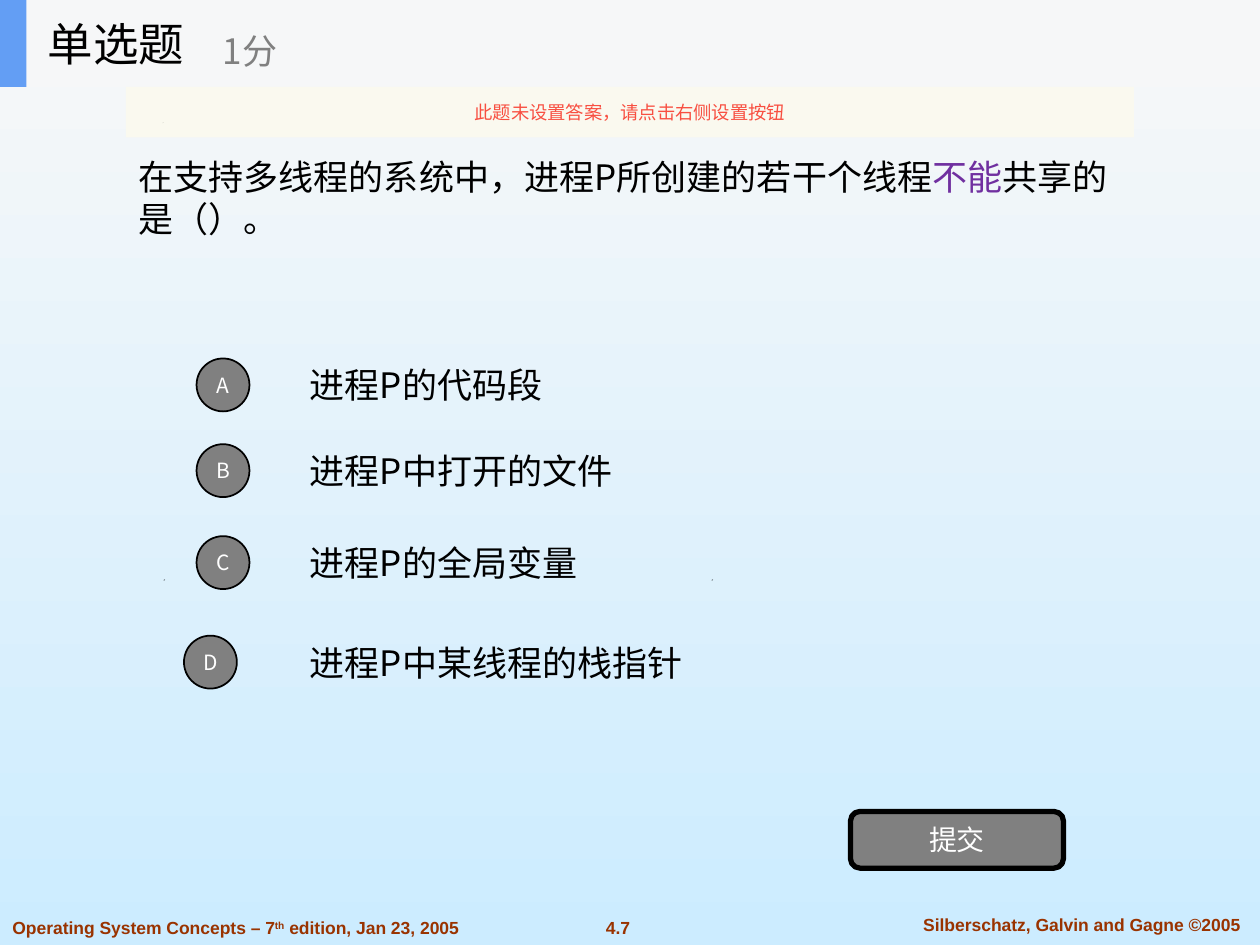
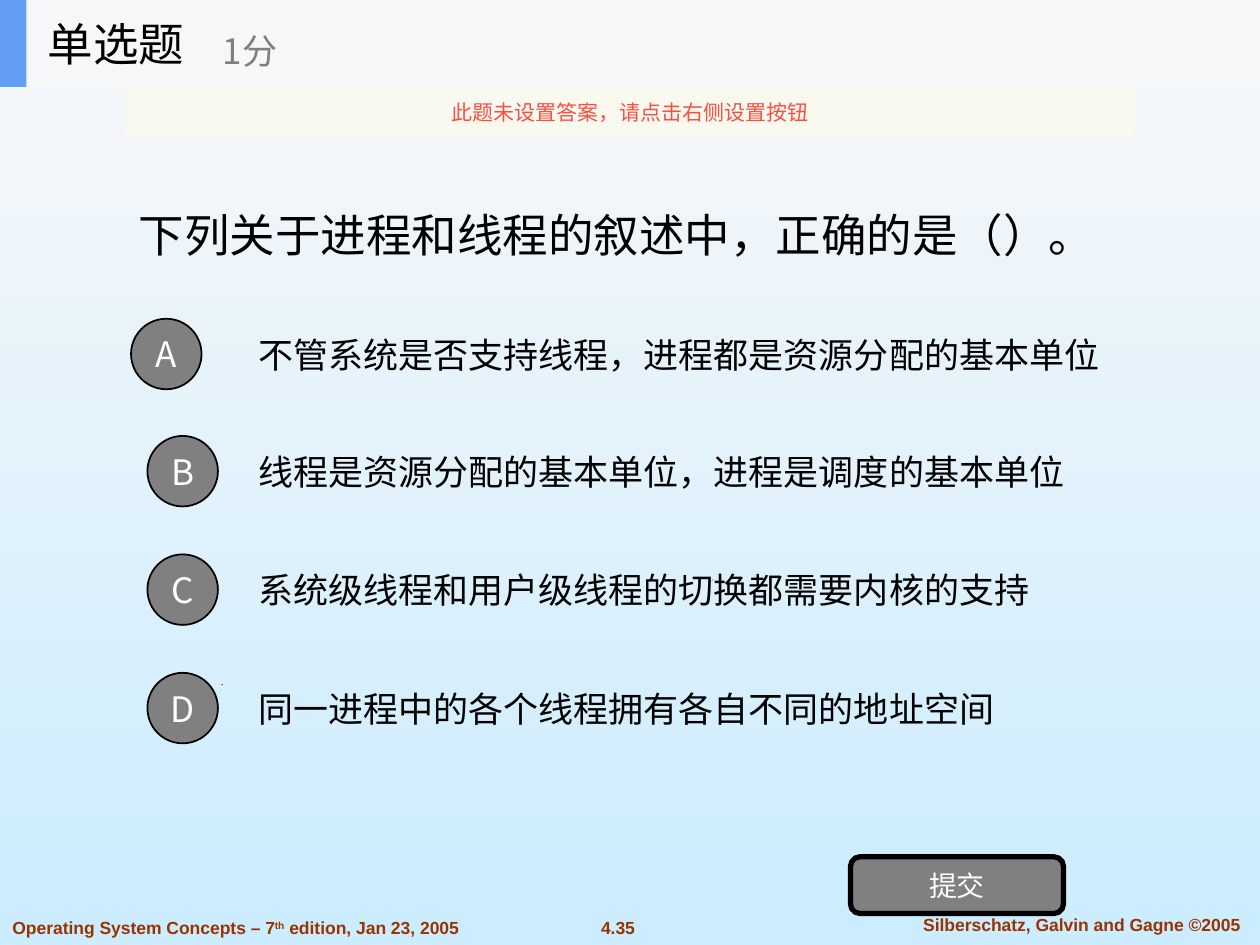
from dataclasses import dataclass

from lxml import etree
from pptx import Presentation
from pptx.dml.color import RGBColor
from pptx.enum import shapes, text
from pptx.oxml.ns import qn
from pptx.util import Inches, Pt

SHAPE = shapes.MSO_SHAPE
LEFT, MID = text.PP_ALIGN.LEFT, text.PP_ALIGN.CENTER


@dataclass(frozen=True)
class Theme:
    # Fonts
    han: str = "Noto Sans CJK SC"
    latin: str = "Arial"
    # Colours
    sky: tuple = ("F8F8F8", "CCECFF")
    ink: str = "000000"
    white: str = "FFFFFF"
    gray: str = "808080"
    band: str = "F6F7F8"
    accent: str = "639EF4"
    cream: str = "FBFAEF"
    alert: str = "F84F41"
    stress: str = "7030A0"
    rust: str = "993300"
    # Type sizes
    head: int = 26
    main: int = 20
    button: int = 16
    foot: int = 10


T = Theme()


@dataclass
class Quiz:
    number: str
    ask: list        # (words, colour) runs
    ask_size: int
    ask_high: float
    warn_size: float
    options: list    # (words, row top, badge left)
    left: float
    wide: float
    high: float
    badge: float
    badge_size: int
    send_top: float


QUIZZES = [
    Quiz("4.7",
         [("在支持多线程的系统中，进程P所创建的若干个线程", T.ink),
          ("不能", T.stress), ("共享的是（）。", T.ink)],
         20, 1.75, 10.5,
         [("进程P的代码段", 2.79, 1.56), ("进程P中打开的文件", 3.47, 1.56),
          ("进程P的全局变量", 4.2, 1.56), ("进程P中某线程的栈指针", 4.99, 1.46)],
         2.36, 4.35, 0.53, 0.42, 12, 6.44),
    Quiz("4.35",
         [("下列关于进程和线程的叙述中，正确的是（）。", T.ink)],
         26, 2.34, 12,
         [("不管系统是否支持线程，进程都是资源分配的基本单位", 2.46, 1.04),
          ("线程是资源分配的基本单位，进程是调度的基本单位", 3.39, 1.17),
          ("系统级线程和用户级线程的切换都需要内核的支持", 4.33, 1.17),
          ("同一进程中的各个线程拥有各自不同的地址空间", 5.27, 1.17)],
         1.95, 7.17, 0.7, 0.56, 20, 6.8),
]

# Small background specks: left, top
SPECKS = [(1.76, 5.43), (1.3, 4.6), (5.65, 4.6), (1.29, 0.97)]


def rgb(code):
    return RGBColor.from_string(code)


def place(item, box):
    item.left, item.top, item.width, item.height = map(Inches, box)


def add_run(para, words, size, color, face=T.han, bold=False):
    run = para.add_run()
    run.text = words
    font = run.font
    font.name, font.size, font.bold = face, Pt(size), bold
    font.color.rgb = rgb(color)
    east = etree.SubElement(run._r.get_or_add_rPr(), qn("a:ea"))
    east.set("typeface", face)
    return run


def set_frame(item, align=LEFT, inset=None):
    frame = item.text_frame
    frame.word_wrap = True
    frame.auto_size = text.MSO_AUTO_SIZE.NONE
    frame.vertical_anchor = text.MSO_ANCHOR.MIDDLE
    if inset is not None:
        frame.margin_left = frame.margin_right = Inches(inset)
        frame.margin_top = frame.margin_bottom = Inches(inset)
    para = frame.paragraphs[0]
    para.alignment = align
    return para


def add_label(slide, box, align=LEFT):
    return set_frame(slide.shapes.add_textbox(*map(Inches, box)), align)


def add_block(slide, kind, box, fill, line=0):
    item = slide.shapes.add_shape(kind, *map(Inches, box))
    item.shadow.inherit = False
    item.fill.solid()
    item.fill.fore_color.rgb = rgb(fill)
    if line:
        item.line.color.rgb = rgb(T.ink)
        item.line.width = Pt(line)
    else:
        item.line.fill.background()
    return item


def add_specks(slide):
    for x, y in SPECKS:
        pen = slide.shapes.build_freeform(Inches(x), Inches(y + 0.01))
        pen.add_line_segments([(Inches(x + 0.01), Inches(y)),
                               (Inches(x), Inches(y))])
        speck = pen.convert_to_shape()
        speck.shadow.inherit = False
        speck.fill.solid()
        speck.fill.fore_color.rgb = rgb(T.ink)
        speck.line.fill.background()


def add_footer(slide, number, top=7.23):
    def note(para, words):
        return add_run(para, words, T.foot, T.rust, T.latin, True)

    note(add_label(slide, (4.64, top, 0.53, 0.27), MID), number)
    note(add_label(slide, (7.1, top - 0.03, 2.97, 0.27), MID),
         "Silberschatz, Galvin and Gagne ©2005")
    book = add_label(slide, (0, top, 4.21, 0.27))
    note(book, "Operating System Concepts – 7")
    note(book, "th").font._element.set("baseline", "30000")
    note(book, " edition, Jan 23, 2005")


def add_header(slide, high=0.69):
    add_block(slide, SHAPE.RECTANGLE, (0, 0, 10, high), T.band)
    add_block(slide, SHAPE.RECTANGLE, (0, 0, 0.21, high), T.accent)
    title = slide.shapes.title
    place(title, (0.28, 0, 2.08, high))
    add_run(set_frame(title), "单选题", T.head, T.ink)
    slide.shapes.element.append(title.element)  # bring in front of the band
    add_run(add_label(slide, (1.67, 0.12, 2.5, 0.56)), "1分", T.main, T.gray)


def add_warning(slide, box, size):
    strip = add_block(slide, SHAPE.RECTANGLE, box, T.cream)
    tint = strip.element.spPr.find(qn("a:solidFill"))[0]
    etree.SubElement(tint, qn("a:alpha")).set("val", "90000")
    add_run(set_frame(strip, MID), "此题未设置答案，请点击右侧设置按钮",
            size, T.alert)


def add_question(slide, box, quiz):
    body = slide.placeholders[1]
    place(body, box)
    para = set_frame(body)
    props = para._p.get_or_add_pPr()
    props.set("marL", "0")
    props.set("indent", "0")
    etree.SubElement(props, qn("a:buNone"))
    para.space_before = Pt(0)
    for words, color in quiz.ask:
        add_run(para, words, quiz.ask_size, color)


def add_options(slide, quiz):
    drop = (quiz.high - quiz.badge) / 2
    for letter, (words, top, left) in zip("ABCD", quiz.options):
        row = add_label(slide, (quiz.left, top, quiz.wide, quiz.high))
        add_run(row, words, T.main, T.ink)
        badge = add_block(slide, SHAPE.OVAL,
                          (left, top + drop, quiz.badge, quiz.badge), T.gray, 1)
        add_run(set_frame(badge, MID, 0), letter, quiz.badge_size, T.white)


def add_button(slide, box):
    button = add_block(slide, SHAPE.ROUNDED_RECTANGLE, box, T.gray, 3)
    add_run(set_frame(button, MID), "提交", T.button, T.white)


def add_quiz(deck, quiz):
    slide = deck.slides.add_slide(deck.slide_layouts[1])
    add_specks(slide)
    add_footer(slide, quiz.number)
    add_question(slide, (1, 0.69, 8, quiz.ask_high), quiz)
    add_options(slide, quiz)
    add_button(slide, (6.75, quiz.send_top, 1.69, 0.45))
    add_header(slide)
    add_warning(slide, (1, 0.69, 8, 0.4), quiz.warn_size)


def paint_sky(master):
    fill = master.background.fill
    fill.gradient()
    fill.gradient_angle = 270
    for stop, color in zip(fill.gradient_stops, T.sky):
        stop.color.rgb = rgb(color)


def main():
    deck = Presentation()
    deck.slide_width, deck.slide_height = Inches(10), Inches(7.5)
    paint_sky(deck.slide_master)
    for quiz in QUIZZES:
        add_quiz(deck, quiz)
    deck.save("out.pptx")


if __name__ == "__main__":
    main()
